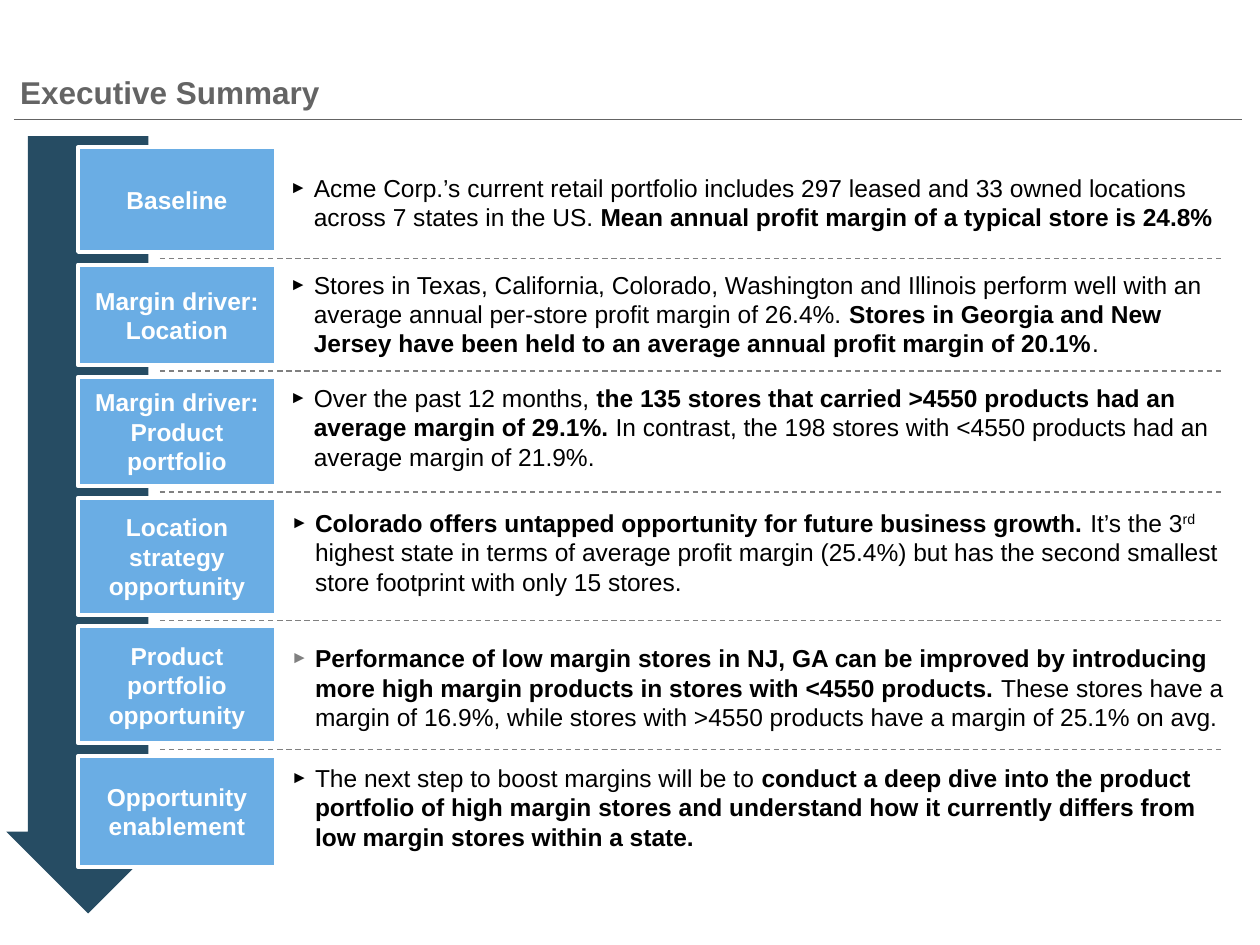
"""Build the executive summary slide: a down arrow, six labelled steps and their findings."""
from dataclasses import dataclass

from lxml import etree
from pptx import Presentation
from pptx.dml.color import RGBColor
from pptx.enum.dml import MSO_LINE
from pptx.enum.shapes import MSO_CONNECTOR, MSO_SHAPE
from pptx.enum.text import MSO_ANCHOR, PP_ALIGN
from pptx.oxml.ns import qn
from pptx.util import Inches, Pt

STRAIGHT = MSO_CONNECTOR.STRAIGHT
DASH = MSO_LINE.DASH
DOWN_ARROW, RECTANGLE = MSO_SHAPE.DOWN_ARROW, MSO_SHAPE.RECTANGLE
BOTTOM, MIDDLE = MSO_ANCHOR.BOTTOM, MSO_ANCHOR.MIDDLE
CENTER = PP_ALIGN.CENTER


@dataclass(frozen=True)
class Theme:
    font: str = "Arial"
    title_size: Pt = Pt(18)
    body_size: Pt = Pt(14)
    title: RGBColor = RGBColor(0x64, 0x64, 0x64)
    text: RGBColor = RGBColor(0, 0, 0)
    separator: RGBColor = RGBColor(0x80, 0x80, 0x80)
    arrow: RGBColor = RGBColor(0x26, 0x4C, 0x63)
    box: RGBColor = RGBColor(0x6A, 0xAD, 0xE4)
    white: RGBColor = RGBColor(0xFF, 0xFF, 0xFF)


THEME = Theme()
PLAIN, BOLD, SUPERSCRIPT = "plain", "bold", "superscript"
LABEL_LEFT, LABEL_WIDTH = 0.62, 1.57
FINDING_WIDTH = 7.61

STEPS = [
    ("Baseline", (1.17, 0.83), (2.25, 1.2, 0.81), THEME.text, [
        ("Acme Corp.’s current retail portfolio includes 297 leased and 33 owned locations "
         "across 7 states in the US. ", PLAIN),
        ("Mean annual profit margin of a typical store is 24.8%", BOLD)]),
    ("Margin driver: Location", (2.1, 0.8), (2.25, 2.09, 0.8), THEME.text, [
        ("Stores in Texas, California, Colorado, Washington and Illinois perform well with an "
         "average annual per-store profit margin of 26.4%. ", PLAIN),
        ("Stores in Georgia and New Jersey have been held to an average annual profit margin "
         "of 20.1%", BOLD),
        (".", PLAIN)]),
    ("Margin driver: Product portfolio", (2.99, 0.87), (2.25, 2.97, 0.84), THEME.text, [
        ("Over the past 12 months, ", PLAIN),
        ("the 135 stores that carried >4550 products had an average margin of 29.1%. ", BOLD),
        ("In contrast, the 198 stores with <4550 products had an average margin of 21.9%.",
         PLAIN)]),
    ("Location strategy opportunity", (3.95, 0.93), (2.26, 3.95, 0.86), THEME.text, [
        ("Colorado offers untapped opportunity for future business growth. ", BOLD),
        ("It’s the 3", PLAIN),
        ("rd", SUPERSCRIPT),
        (" highest state in terms of average profit margin (25.4%) but has the second smallest "
         "store footprint with only 15 stores.", PLAIN)]),
    ("Product portfolio opportunity", (4.97, 0.93), (2.26, 5.04, 0.83), THEME.separator, [
        ("Performance of low margin stores in NJ, GA can be improved by introducing more high "
         "margin products in stores with <4550 products. ", BOLD),
        ("These stores have a margin of 16.9%, while stores with >4550 products have a margin "
         "of 25.1% on avg.", PLAIN)]),
    ("Opportunity enablement", (6, 0.88), (2.26, 5.99, 0.83), THEME.text, [
        ("The next step to boost margins will be to ", PLAIN),
        ("conduct a deep dive into the product portfolio of high margin stores and understand "
         "how it currently differs from low margin stores within a state.", BOLD)]),
]


def add_rule(slide, left, right, top, color):
    rule = slide.shapes.add_connector(
        STRAIGHT, Inches(left), Inches(top), Inches(right), Inches(top))
    rule.line.color.rgb = color
    rule.line.width = Pt(0.75)
    etree.SubElement(rule.line._get_or_add_ln().getparent(), qn("a:effectLst"))
    return rule


def add_text_box(slide, left, top, width, height, anchor):
    box = slide.shapes.add_textbox(Inches(left), Inches(top), Inches(width), Inches(height))
    frame = box.text_frame
    frame.word_wrap = True
    frame.vertical_anchor = anchor
    frame.margin_left = Inches(0.05)
    frame.margin_top = frame.margin_right = frame.margin_bottom = 0
    return frame.paragraphs[0]


presentation = Presentation()
presentation.slide_width = Inches(10)
presentation.slide_height = Inches(7.5)
slide = presentation.slides.add_slide(presentation.slide_layouts[6])

add_rule(slide, 0.11, 9.86, 0.95, THEME.title)
title = add_text_box(slide, 0.11, 0.01, 9.75, 0.87, BOTTOM)
title.text = "Executive Summary"
title.line_spacing = 0.85
title.font.name = THEME.font
title.font.size = THEME.title_size
title.font.bold = True
title.font.color.rgb = THEME.title

arrow = slide.shapes.add_shape(
    DOWN_ARROW, Inches(0.05), Inches(1.08), Inches(1.3), Inches(6.17))
arrow.adjustments[0] = 0.735
arrow.adjustments[1] = 0.5
arrow.shadow.inherit = False
arrow.fill.solid()
arrow.fill.fore_color.rgb = THEME.arrow
arrow.line.fill.background()

for label, (top, height), (text_left, text_top, text_height), bullet_color, runs in STEPS:
    box = slide.shapes.add_shape(
        RECTANGLE, Inches(LABEL_LEFT), Inches(top), Inches(LABEL_WIDTH), Inches(height))
    box.shadow.inherit = False
    box.fill.solid()
    box.fill.fore_color.rgb = THEME.box
    box.line.color.rgb = THEME.white
    box.line.width = Pt(2.25)
    box.text_frame.word_wrap = True
    box.text_frame.vertical_anchor = MIDDLE
    paragraph = box.text_frame.paragraphs[0]
    paragraph.text = label
    paragraph.alignment = CENTER
    paragraph.font.name = THEME.font
    paragraph.font.size = THEME.body_size
    paragraph.font.bold = True
    paragraph.font.color.rgb = THEME.white

    finding = add_text_box(slide, text_left, text_top, FINDING_WIDTH, text_height, MIDDLE)
    finding.space_before = Pt(2.8)
    properties = finding._p.get_or_add_pPr()
    properties.set("marL", str(Inches(0.19)))
    properties.set("indent", str(Inches(-0.19)))
    color = etree.SubElement(properties, qn("a:buClr"))
    etree.SubElement(color, qn("a:srgbClr"), val=str(bullet_color))
    etree.SubElement(properties, qn("a:buSzPct"), val="70000")
    etree.SubElement(properties, qn("a:buFont"), typeface=THEME.font)
    etree.SubElement(properties, qn("a:buChar"), char="►")
    finding.font.name = THEME.font
    finding.font.size = THEME.body_size
    finding.font.color.rgb = THEME.text
    for text, style in runs:
        run = finding.add_run()
        run.text = text
        run.font.bold = style == BOLD
        if style == SUPERSCRIPT:
            run._r.get_or_add_rPr().set("baseline", "30000")

for (_, (top, height), *_), (_, (next_top, _), *_) in zip(STEPS, STEPS[1:]):
    separator = add_rule(slide, 1.27, 9.71, (top + height + next_top) / 2, THEME.separator)
    separator.line.dash_style = DASH

presentation.save("out.pptx")
